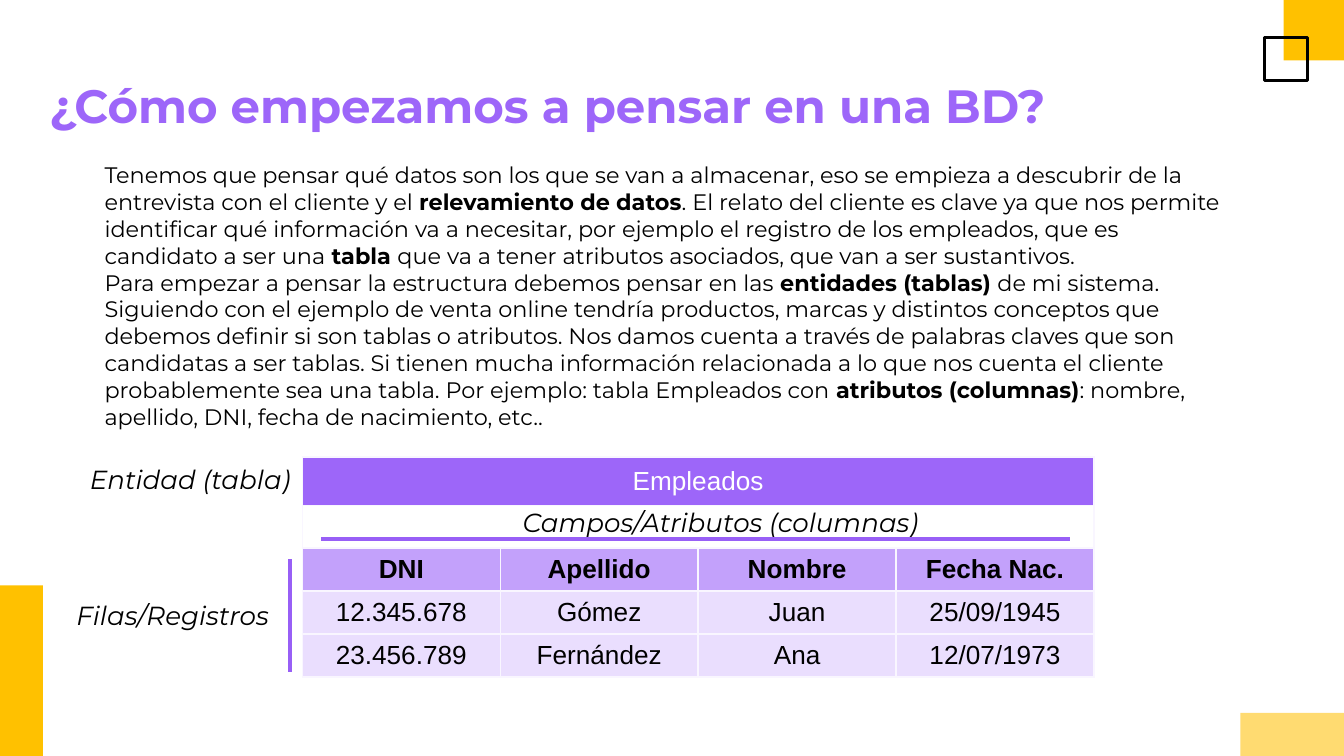
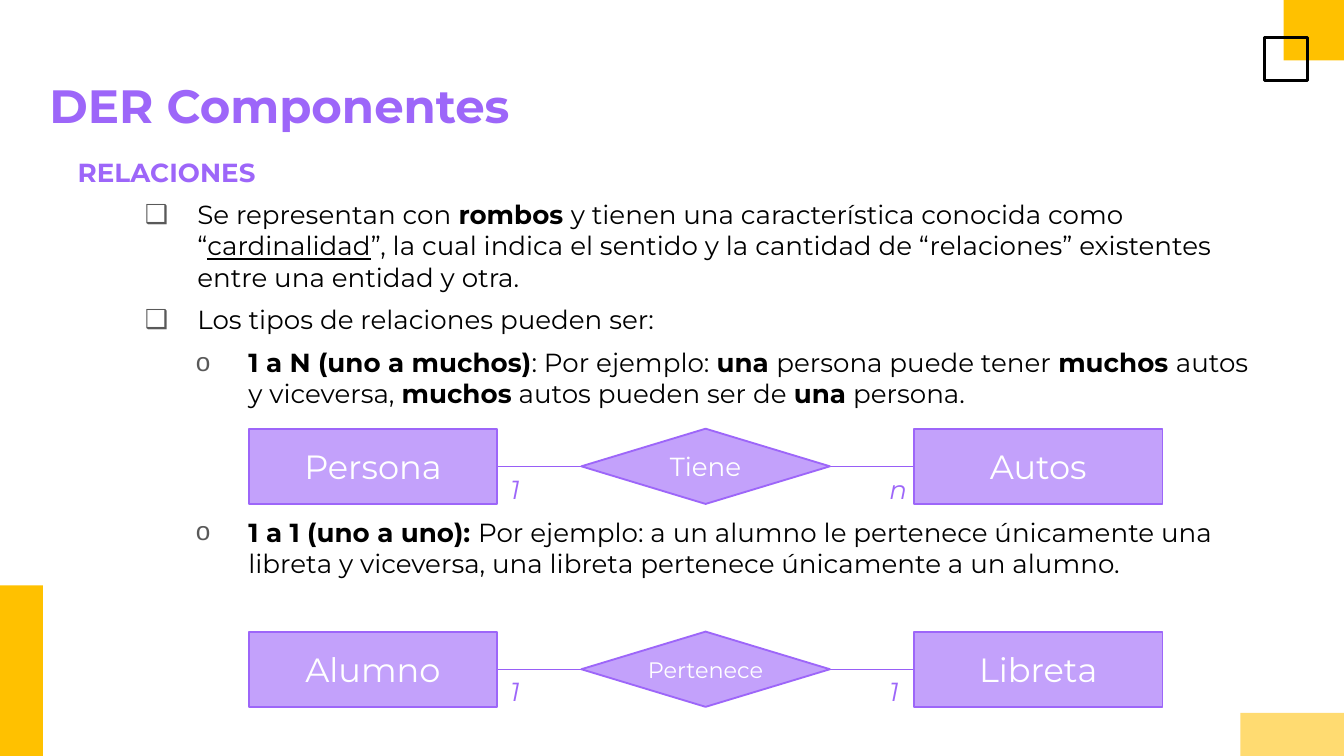
"""Build two slides on planning a database and on entity relationships."""
from lxml.etree import SubElement as Sub
from pptx import Presentation
from pptx.dml.color import RGBColor
from pptx.enum.shapes import MSO_CONNECTOR as Conn, MSO_SHAPE as Shape
from pptx.enum.text import MSO_ANCHOR as Anchor, MSO_AUTO_SIZE as Auto, PP_ALIGN as Align
from pptx.oxml.ns import qn
from pptx.util import Inches, Pt

WIDE = 10
HIGH = WIDE * 9 / 16
FACE = "Montserrat"
HUES = {
    "gold": "FFC100", "sand": "FFDB71", "black": "000000", "white": "FFFFFF",
    "violet": "9D66F9", "rule": "985FF6", "lilac": "C3A1FB", "pale": "EADEFE",
    "edge": "F9F6FF", "gray": "595959",
}
DECOR = [
    ((WIDE - 0.45, 0, 0.45, 0.45), "gold", None),
    ((0, HIGH - 1.27, 0.32, 1.27), "gold", None),
    ((9.41, 0.28, 0.32, 0.32), None, "black"),
    ((WIDE - 0.77, HIGH - 0.32, 0.77, 0.32), "sand", None),
]
TITLES = ["¿Cómo empezamos a pensar en una BD?", "DER Componentes"]

INTRO = [
    "Tenemos que pensar qué datos son los que se van a almacenar, eso se empieza a "
    "descubrir de la entrevista con el cliente y el *relevamiento de datos*. El relato "
    "del cliente es clave ya que nos permite identificar qué información va a necesitar, "
    "por ejemplo el registro de los empleados, que es candidato a ser una *tabla *que va "
    "a tener atributos asociados, que van a ser sustantivos.",
    "Para empezar a pensar la estructura debemos pensar en las *entidades (tablas) *de mi "
    "sistema. Siguiendo con el ejemplo de venta online tendría productos, marcas y "
    "distintos conceptos que debemos definir si son tablas o atributos. Nos damos cuenta a "
    "través de palabras claves que son candidatas a ser tablas. Si tienen mucha información "
    "relacionada a lo que nos cuenta el cliente probablemente sea una tabla. Por ejemplo: "
    "tabla Empleados con *atributos (columnas)*: nombre, apellido, DNI, fecha de "
    "nacimiento, etc..",
]
STAFF = [
    ["Empleados"],
    [],
    ["DNI", "Apellido", "Nombre", "Fecha Nac."],
    ["12.345.678", "Gómez", "Juan", "25/09/1945"],
    ["23.456.789", "Fernández", "Ana", "12/07/1973"],
]
FILLS = ["violet", "white", "lilac", "pale", "pale"]
BOLDS = [None, None, True, False, False]
LABELS = [
    ("Campos/Atributos (columnas)", (3.79, 3.72, 3.19, 0.34)),
    ("Filas/Registros", (0.47, 4.41, 1.65, 0.34)),
    ("Entidad (tabla)", (0.57, 3.4, 1.71, 0.34)),
]
RULES = [(2.39, 4.01, 7.96, 4.01), (2.16, 4.16, 2.16, 5)]

BOX = (1, 0.89, "❑")
DOT = (7, 1.27, "o")
KINDS = [
    ("Se representan con *rombos *y tienen una característica conocida como "
     "“_cardinalidad_”, la cual indica el sentido y la cantidad de “relaciones” "
     "existentes entre una entidad y otra.", BOX),
    ("Los tipos de relaciones pueden ser:", BOX),
    ("*1 a N (uno a muchos)*: Por ejemplo: *una *persona puede tener *muchos *autos y "
     "viceversa, *muchos* autos pueden ser de *una* persona.", DOT),
]
SINGLE = [
    ("*1 a 1 (uno a uno): *Por ejemplo: a un alumno le pertenece únicamente una libreta y "
     "viceversa, una libreta pertenece únicamente a un alumno.", DOT),
]
LINKS = [
    (3.19, ("Persona", "Tiene", "Autos"), 14, ("1", "n")),
    (4.7, ("Alumno", "Pertenece", "Libreta"), 12, ("1", "1")),
]


def hue(name):
    """Return a named colour."""
    return RGBColor.from_string(HUES[name])


def inch(*nums):
    """Convert numbers to inches."""
    return [Inches(n) for n in nums]


def style(para, size, tint, bold=None, italic=None, face=FACE):
    """Set the font of a paragraph."""
    font = para.font
    font.name, font.size, font.bold, font.italic = face, Pt(size), bold, italic
    font.color.rgb = hue(tint)


def write(para, text):
    """Add runs, with *bold* and _underlined_ parts."""
    for i, part in enumerate(text.split("*")):
        for j, bit in enumerate(part.split("_")):
            if bit:
                run = para.add_run()
                run.text = bit
                if i % 2:
                    run.font.bold = True
                if j % 2:
                    run.font.underline = True


def bullet(para, level, left, mark):
    """Give a paragraph a hanging indent and a bullet if there is a mark."""
    para.level = level
    props = para._p.get_or_add_pPr()
    props.set("marL", str(Inches(left)))
    props.set("indent", str(-Inches(0.39)))
    if mark:
        para.space_before = Pt(6)
        Sub(Sub(props, qn("a:buClr")), qn("a:srgbClr"), val=HUES["gray"])
        Sub(props, qn("a:buFont"), typeface="Arial")
        Sub(props, qn("a:buChar"), char=mark)


def text(slide, area, items, size, tint="black", pad=0.1, **look):
    """Add a text box of (text, bullet) items."""
    frame = slide.shapes.add_textbox(*inch(*area)).text_frame
    frame.word_wrap = True
    frame.auto_size = Auto.NONE
    frame.margin_left = frame.margin_right = Inches(0.1)
    frame.margin_top = frame.margin_bottom = Inches(pad)
    for i, (words, mark) in enumerate(items):
        para = frame.add_paragraph() if i else frame.paragraphs[0]
        if mark:
            bullet(para, *mark)
        style(para, size, tint, **look)
        write(para, words)
    return frame


def label(slide, area, words, tint="black"):
    """Add a short italic label."""
    text(slide, area, [(words, None)], 14, tint, 0.05, italic=True)


def block(slide, area, fill, line, kind=Shape.RECTANGLE, weight=1):
    """Add a flat shape."""
    shape = slide.shapes.add_shape(kind, *inch(*area))
    shape.shadow.inherit = False
    if fill:
        shape.fill.solid()
        shape.fill.fore_color.rgb = hue(fill)
    else:
        shape.fill.background()
    if line:
        shape.line.color.rgb = hue(line)
        shape.line.width = Pt(weight)
    else:
        shape.line.fill.background()
    return shape


def rule(slide, ends, weight):
    """Add a straight violet line."""
    line = slide.shapes.add_connector(Conn.STRAIGHT, *inch(*ends))
    line.line.color.rgb = hue("rule")
    line.line.width = Pt(weight)
    Sub(line._element.spPr, qn("a:effectLst"))


def border(cell):
    """Draw the four edges of a cell."""
    props = cell._tc.get_or_add_tcPr()
    for i, side in enumerate(("lnL", "lnR", "lnT", "lnB")):
        edge = props.makeelement(qn("a:" + side), {"w": str(Pt(1))})
        Sub(Sub(edge, qn("a:solidFill")), qn("a:srgbClr"), val=HUES["edge"])
        props.insert(i, edge)


def grid(slide):
    """Add the table of employees."""
    tall = [0.36] + [0.32] * 4
    frame = slide.shapes.add_table(5, 4, *inch(2.25, 3.4, 5.89, sum(tall)))
    table = frame.table
    table.horz_banding = False
    for r, (row, fill) in enumerate(zip(STAFF, FILLS)):
        table.rows[r].height = Inches(tall[r])
        for c in range(4):
            cell = table.cell(r, c)
            cell.fill.solid()
            cell.fill.fore_color.rgb = hue(fill)
            cell.vertical_anchor = Anchor.MIDDLE
            cell.margin_top = cell.margin_bottom = Inches(0.05 if c < len(row) else 0)
            border(cell)
            if c < len(row):
                para = cell.text_frame.paragraphs[0]
                para.alignment = Align.CENTER
                style(para, 14, "black" if r else "white", BOLDS[r], face="Arial")
                write(para, row[c])
        if len(row) < 4:
            table.cell(r, 0).merge(table.cell(r, 3))


def link(slide, top, names, size, ends):
    """Draw two entities joined by a relationship."""
    left, wide, high, step = 1.85, 1.85, 0.56, 4.95 / 2
    mid, right = top + high / 2, left + 2 * step
    rule(slide, (left + wide, mid, right, mid), 0.75)
    for i, name in enumerate(names):
        kind = Shape.FLOWCHART_DECISION if i == 1 else Shape.RECTANGLE
        area = (left + i * step, top, wide, high)
        frame = block(slide, area, "lilac", "violet", kind).text_frame
        frame.margin_left = frame.margin_right = 0
        frame.margin_top = frame.margin_bottom = 0
        frame.vertical_anchor = Anchor.MIDDLE
        para = frame.paragraphs[0]
        para.alignment = Align.CENTER
        style(para, size if i == 1 else 18, "white")
        write(para, name)
    for x, end in zip((left + wide, right - 0.28), ends):
        label(slide, (x, mid, 0.34, 0.34), end, "violet")


def page(deck, title):
    """Add a slide with the shared decor and title."""
    slide = deck.slides.add_slide(deck.slide_layouts[6])
    for area, fill, line in DECOR:
        block(slide, area, fill, line, weight=1.5)
    text(slide, (0.27, 0.47, 9.47, 0.63), [(title, None)], 25, "violet", bold=True)
    return slide


def main():
    """Build and save the deck."""
    deck = Presentation()
    deck.slide_width, deck.slide_height = inch(WIDE, HIGH)
    first, second = [page(deck, title) for title in TITLES]

    text(first, (0.68, 1.1, 8.53, 2.13), [(words, None) for words in INTRO], 12)
    grid(first)
    for words, area in LABELS:
        label(first, area, words)
    for ends in RULES:
        rule(first, ends, 2.25)

    head = ("RELACIONES", (0, 0.39, None))
    frame = text(second, (0.48, 1.06, 9.04, 1.32), [head] + KINDS, 14)
    style(frame.paragraphs[0], 14, "violet", bold=True)
    text(second, (0.48, 3.74, 9.04, 0.96), SINGLE, 14)
    for item in LINKS:
        link(second, *item)
    deck.save("out.pptx")


if __name__ == "__main__":
    main()
